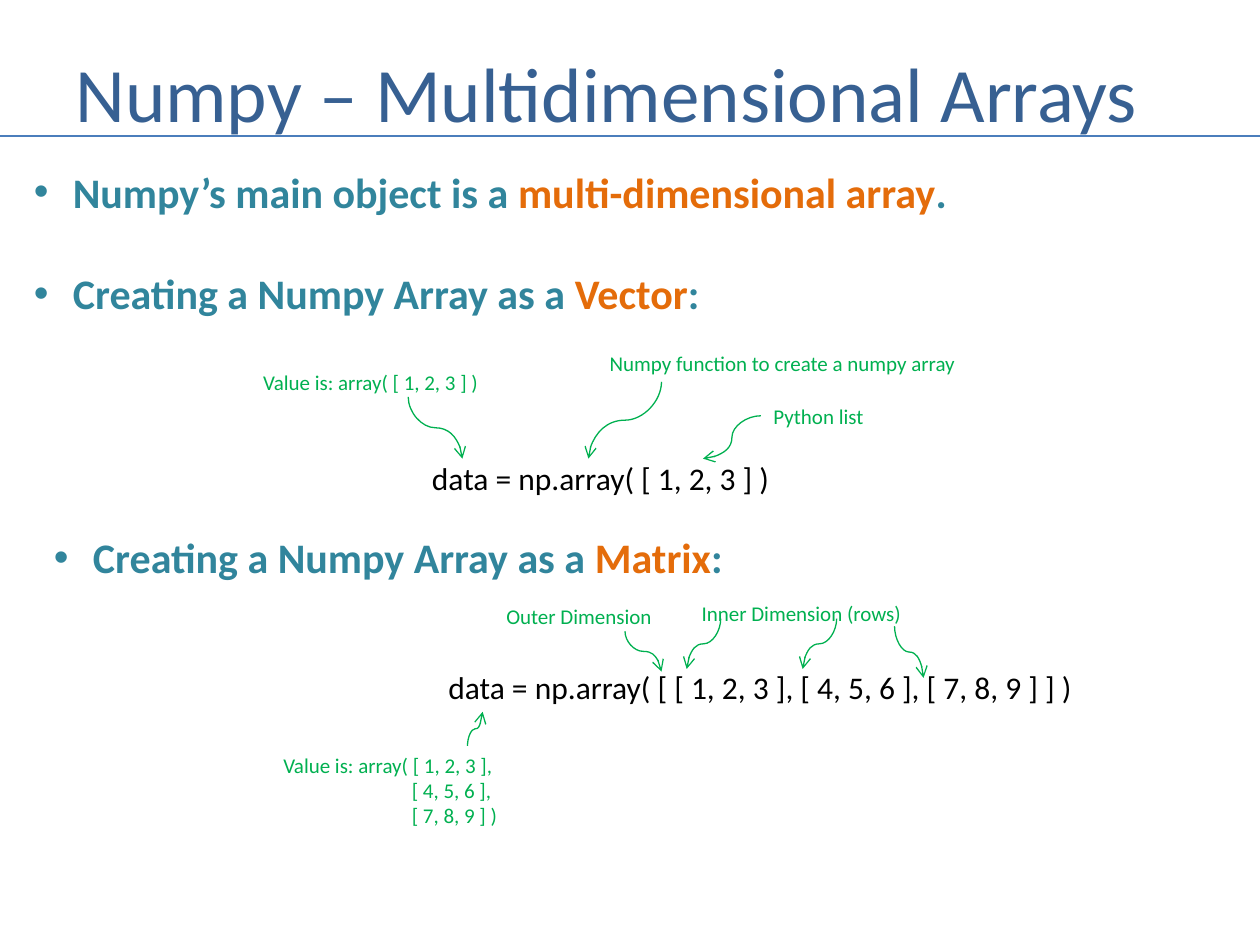
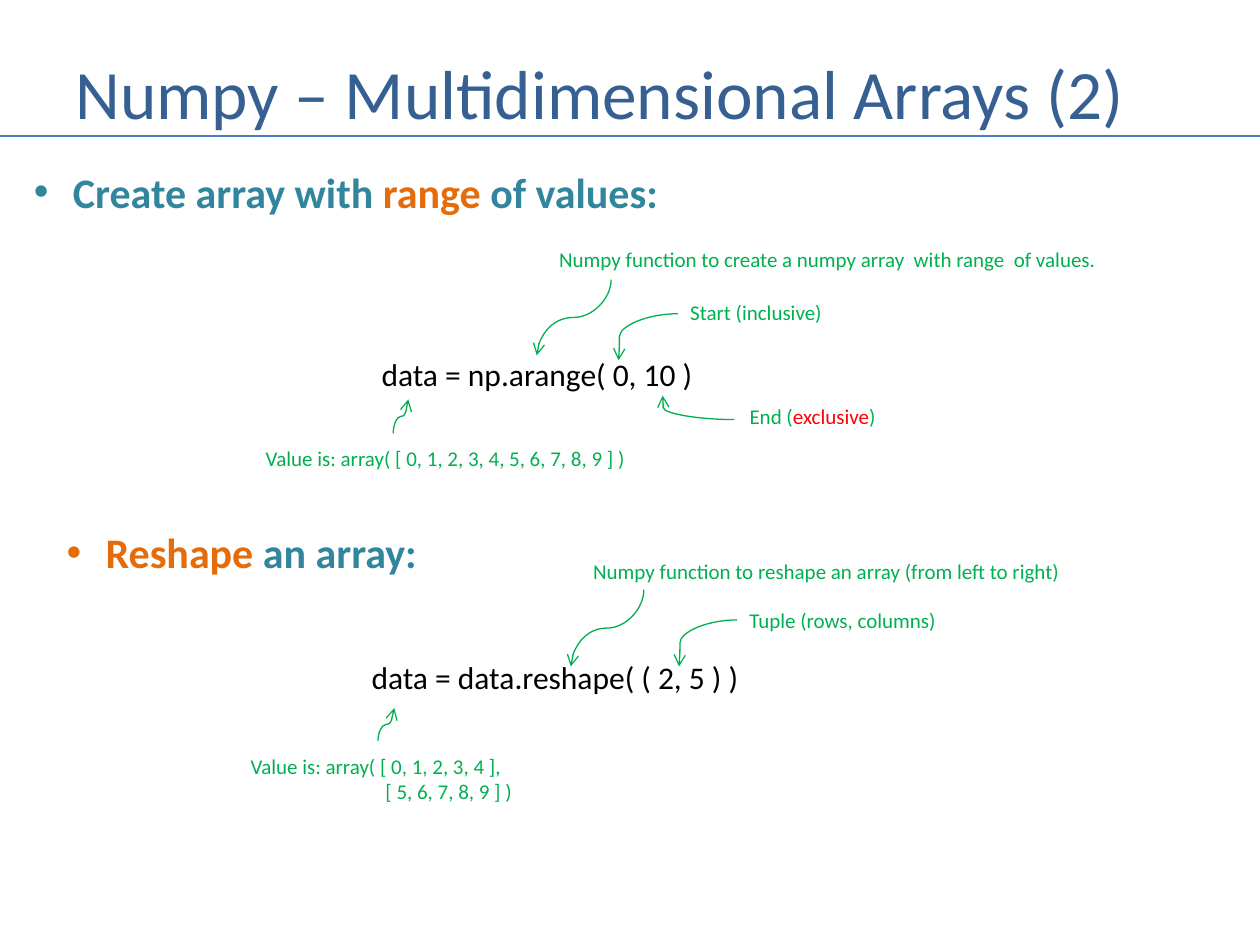
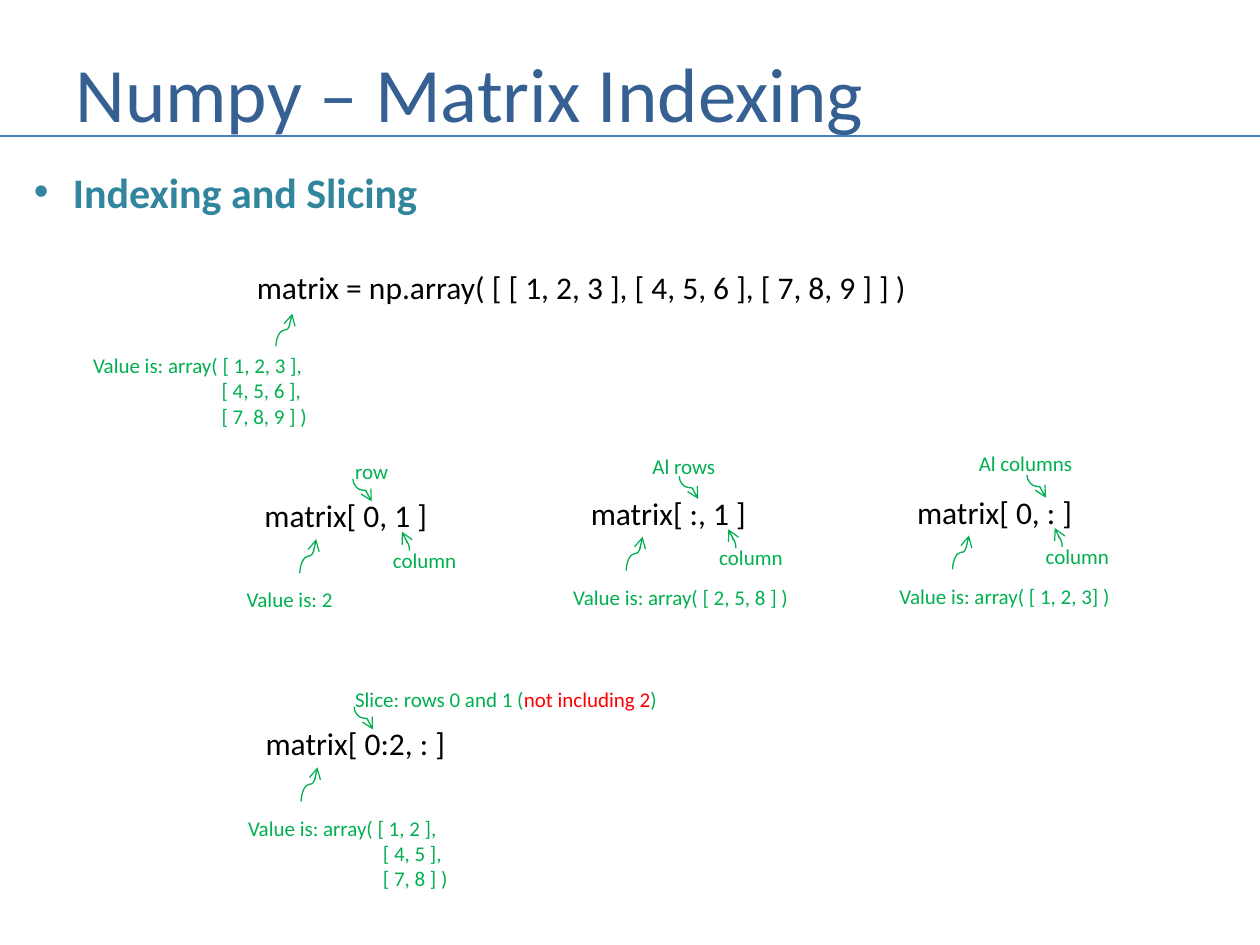
from collections import namedtuple
from lxml.etree import SubElement
from pptx import Presentation
from pptx.dml.color import RGBColor
from pptx.enum.shapes import MSO_CONNECTOR
from pptx.enum.text import MSO_AUTO_SIZE
from pptx.oxml.ns import qn
from pptx.util import Inches, Pt

Look = namedtuple("Look", "size tint mark bold hang")
Theme = namedtuple("Theme", "font title long head code note wide rule arrow")
theme = Theme(
    font="Calibri",
    title=Look(44, "376092", "376092", False, 0),
    long=Look(39.6, "376092", "376092", False, 0),
    head=Look(24, "31859C", "E46C0A", True, 0.31),
    code=Look(18, "000000", "000000", False, 0),
    note=Look(12, "00B050", "FF0000", False, 1.02),
    wide=Look(12, "00B050", "FF0000", False, 1.07),
    rule=("4B7EBC", 1.5),
    arrow=("00B050", 0.75),
)

deck = Presentation()
deck.slide_width, deck.slide_height = Inches(10), Inches(7.5)
col, row = deck.slide_width / 100, deck.slide_height / 75


def write(slide, kind, x, y, w, text):
    look = getattr(theme, kind)
    lines = text.split("\n")
    high = Inches(0.1) + Pt(look.size * 1.22) * len(lines)
    box = slide.shapes.add_textbox(int(x * col), int(y * row), int(w * col), high)
    frame = box.text_frame
    frame.word_wrap = kind in ("title", "long")
    frame.auto_size = MSO_AUTO_SIZE.SHAPE_TO_FIT_TEXT
    for i, line in enumerate(lines):
        para = frame.paragraphs[0] if i == 0 else frame.add_paragraph()
        props = para._p.get_or_add_pPr()
        if kind == "head":
            props.set("marL", str(Inches(look.hang)))
            props.set("indent", str(-Inches(look.hang)))
            SubElement(props, qn("a:buFont"), typeface="Arial")
            SubElement(props, qn("a:buChar"), char="•")
            if i:
                para.space_before = Pt(29)
        elif i:
            props.set("marL", str(Inches(look.hang)))
        for j, part in enumerate(line.split("|")):
            if part:
                run = para.add_run()
                run.text = part
                run.font.name = theme.font
                run.font.size = Pt(look.size)
                run.font.bold = look.bold
                run.font.color.rgb = RGBColor.from_string(look.mark if j % 2 else look.tint)


def draw(slide, kind, ends, pen):
    x1, y1, x2, y2 = ends
    link = slide.shapes.add_connector(
        kind, int(x1 * col), int(y1 * row), int(x2 * col), int(y2 * row))
    link.line.color.rgb = RGBColor.from_string(pen[0])
    link.line.width = Pt(pen[1])
    props = link._element.spPr
    SubElement(props, qn("a:effectLst"))
    return props


grid = "Value is: array( [ 1, 2, 3 ],\n[ 4, 5, 6 ],\n[ 7, 8, 9 ] )"

first = [
    ("title", 5, 3.1, 90.8, "Numpy – Multidimensional Arrays"),
    ("head", 1.7, 12.7, 75, "Numpy’s main object is a |multi-dimensional array|.\n"
     "Creating a Numpy Array as a |Vector|:"),
    ("code", 33.3, 35.9, 29.1, "data = np.array( [ 1, 2, 3 ] )"),
    ("note", 47.4, 27.3, 30.1, "Numpy function to create a numpy array"),
    ("note", 19.9, 28.8, 19.3, "Value is: array( [ 1, 2, 3 ] )"),
    ("note", 60.4, 31.5, 9.2, "Python list"),
    ("head", 3.3, 41.7, 55.6, "Creating a Numpy Array as a |Matrix|:"),
    ("code", 34.6, 52.5, 52.2, "data = np.array( [ [ 1, 2, 3 ], [ 4, 5, 6 ], [ 7, 8, 9 ] ] )"),
    ("note", 39.2, 47.4, 13.7, "Outer Dimension"),
    ("note", 54.7, 47.2, 18, "Inner Dimension (rows)"),
    ("note", 21.5, 59.2, 19.3, grid),
]
firstarc = [
    (52.5, 30.3, 46.7, 36.4), (32.4, 31.5, 36.7, 36.4), (60.4, 33, 55.8, 36.4, 50),
    (49.6, 50.1, 52.5, 53.3), (57.2, 49.1, 54.5, 53.1), (66.4, 49.1, 63.7, 53.1),
    (71, 49.7, 73.3, 53.8), (37.1, 59.2, 38.3, 56.5),
]

second = [
    ("long", 5, 3.5, 90.8, "Numpy – Multidimensional Arrays (2)"),
    ("head", 1.7, 12.7, 52.1, "Create array with |range| of values:"),
    ("code", 29.3, 27.7, 27, "data = np.arange( 0, 10 )"),
    ("note", 43.4, 19.1, 44.6, "Numpy function to create a numpy array  with range  of values."),
    ("note", 20.1, 34.9, 30.9, "Value is: array( [ 0, 1, 2, 3, 4, 5, 6, 7, 8, 9 ] )"),
    ("note", 53.8, 23.3, 12.6, "Start (inclusive)"),
    ("note", 58.5, 31.5, 12.1, "End (|exclusive|)"),
    ("head", 4.3, 41.3, 30.1, "|Reshape| an array:"),
    ("code", 28.5, 51.7, 31.5, "data = data.reshape( ( 2, 5 ) )"),
    ("note", 46.1, 43.8, 39.4, "Numpy function to reshape an array (from left to right)"),
    ("note", 58.5, 47.7, 17, "Tuple (rows, columns)"),
    ("wide", 18.9, 59.3, 23.1, "Value is: array( [ 0, 1, 2, 3, 4 ],\n[ 5, 6, 7, 8, 9 ] )"),
]
secondarc = [
    (48.5, 22.2, 42.6, 28.2), (31.2, 34.4, 32.4, 31.7),
    (53.8, 24.9, 49.1, 28.6, 98.6), (58.3, 33.3, 52.6, 31.4, 99.1),
    (51.1, 46.8, 45.3, 52.9), (58.5, 49.2, 53.9, 52.9, 98.6), (30, 58.8, 31.3, 56.2),
]

third = [
    ("title", 5, 3.1, 90.8, "Numpy – Matrix Indexing"),
    ("head", 1.7, 12.7, 32.8, "Indexing and Slicing"),
    ("code", 19.4, 20.8, 54.2, "matrix = np.array( [ [ 1, 2, 3 ], [ 4, 5, 6 ], [ 7, 8, 9 ] ] )"),
    ("note", 6.4, 27.5, 19.3, grid),
]
thirdarc = [(21.9, 27.5, 23.2, 24.9)]
cells = [
    (20, 38.9, 15.1, "matrix[ 0, 1 ]", 7.2, -3, 4.7, "row", 8, 8.9, "Value is: 2"),
    (45.9, 38.7, 14.5, "matrix[ :, 1 ]", 4.9, -3.2, 7.1, "Al rows", 8, 19.7,
     "Value is: array( [ 2, 5, 8 ] )"),
    (71.8, 38.6, 14.5, "matrix[ 0, : ]", 4.9, -3.3, 9.5, "Al columns", 9.7, 19.3,
     "Value is: array( [ 1, 2, 3] )"),
    (20.1, 57, 16.4, "matrix[ 0:2, : ]", 7.1, -3, 26.6,
     "Slice: rows 0 and 1 (|not including 2|)", 8, 18.1,
     "Value is: array( [ 1, 2 ],\n[ 4, 5 ],\n[ 7, 8 ] )"),
]
for x, y, w, code, dx, dy, span, label, tip, size, value in cells:
    third += [
        ("code", x, y, w, code),
        ("note", x + dx, y + dy, span, label),
        ("wide", x - 1.4, y + 7.2, size, value),
    ]
    thirdarc += [
        (x + tip, y - 0.9, x + tip + 1.5, y + 0.9),
        (x + 3.8, y + 6.6, x + 5.1, y + 3.9),
    ]
    if "0:2" not in code:
        third.append(("note", x + 10.2, y + 4.05, 7.1, "column"))
        thirdarc.append((x + 12.5, y + 4.8, x + 11.9, y + 3.3))

for texts, arcs in [(first, firstarc), (second, secondarc), (third, thirdarc)]:
    slide = deck.slides.add_slide(deck.slide_layouts[6])
    draw(slide, MSO_CONNECTOR.STRAIGHT, (0, 10.8, 100, 10.8), theme.rule)
    for item in texts:
        write(slide, *item)
    for x1, y1, x2, y2, *bend in arcs:
        ends = x1, y1, x2, y2
        if not bend:
            midx, midy = (x1 + x2) / 2, (y1 + y2) / 2
            half = abs(y2 - y1) / 2 * (-1 if x2 > x1 else 1)
            rise = abs(x2 - x1) / 2 * (-1 if y2 < y1 else 1)
            ends = midx - half, midy - rise, midx + half, midy + rise
        props = draw(slide, MSO_CONNECTOR.CURVE, ends, theme.arrow)
        SubElement(props.find(qn("a:ln")), qn("a:tailEnd"), type="arrow")
        if bend:
            shape = props.find(qn("a:prstGeom")).find(qn("a:avLst"))
            SubElement(shape, qn("a:gd"), name="adj1", fmla=f"val {round(bend[0] * 1000)}")
        else:
            turn = 90 if (x2 < x1) == (y2 > y1) else 270
            props.find(qn("a:xfrm")).set("rot", str(turn * 60000))

deck.save("out.pptx")
